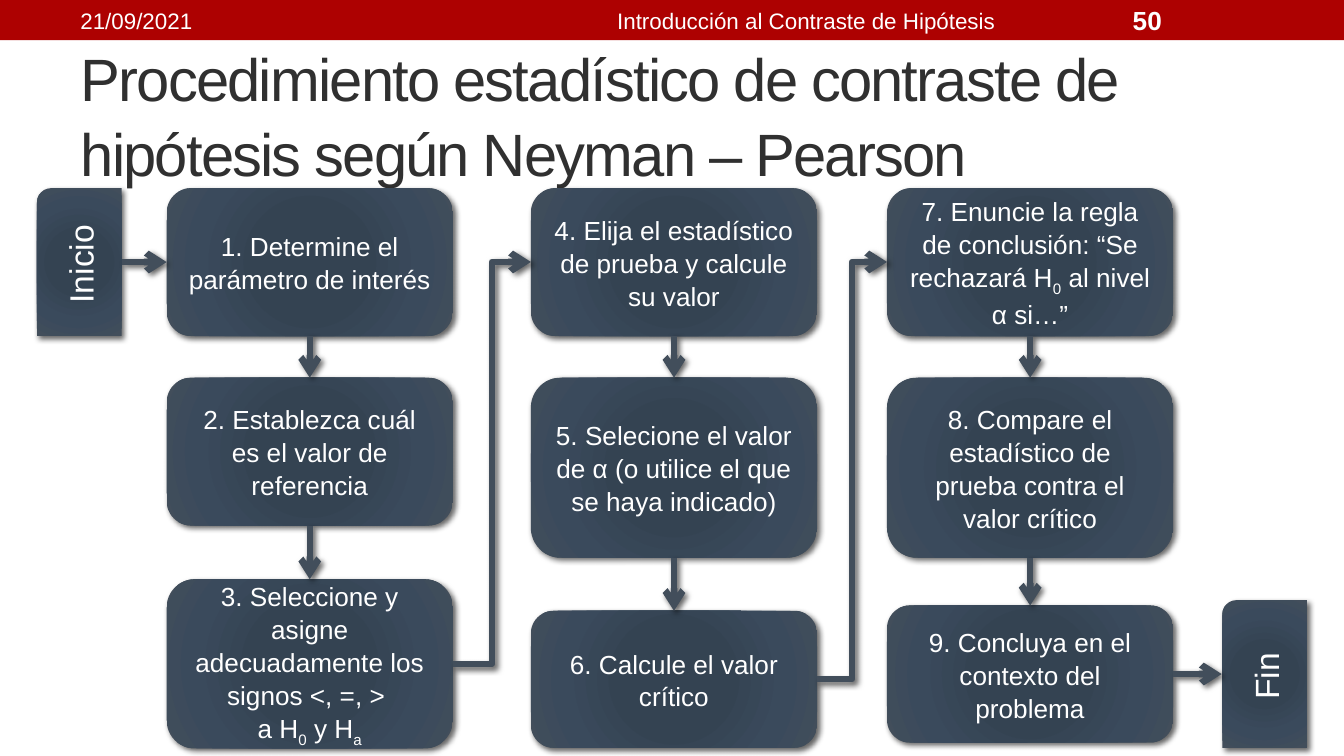
from dataclasses import dataclass
from itertools import pairwise
from typing import NamedTuple

from lxml.etree import SubElement
from pptx import Presentation
from pptx.dml.color import RGBColor
from pptx.enum.shapes import MSO_CONNECTOR, MSO_SHAPE
from pptx.enum.text import MSO_ANCHOR, MSO_AUTO_SIZE, PP_ALIGN
from pptx.oxml.ns import qn
from pptx.shapes.autoshape import Shape
from pptx.shapes.connector import Connector
from pptx.shapes.shapetree import SlideShapes
from pptx.util import Inches, Pt

WIDTH, HEIGHT = Inches(10), Inches(5.625)
TOP, LEFT, BOTTOM, RIGHT = range(4)


@dataclass(frozen=True)
class Theme:
    font: str = "Arial"
    bar: str = "AD0101"
    title: str = "303030"
    light: str = "FFFFFF"
    arrow: str = "424E5B"
    shadow: str = "000000"
    gradient: tuple = ((0, "334353"), (34, "344352"), (70, "3A4A5C"), (100, "424E5B"))
    title_size: float = 32
    terminal_size: float = 18
    step_size: float = 14
    header_size: float = 12
    arrow_width: float = 3.5
    line_spacing: float = 1.05


class Area(NamedTuple):
    """Left, top, width and height in percent of the slide."""
    left: float
    top: float
    width: float
    height: float

    def lengths(self) -> tuple:
        return (across(self.left), down(self.top), across(self.width), down(self.height))


class Piece(NamedTuple):
    text: str
    subscript: bool = False


class Step(NamedTuple):
    top: float
    height: float
    pieces: tuple


class Column(NamedTuple):
    left: float
    steps: tuple


class HeaderItem(NamedTuple):
    text: str
    left: float
    width: float
    align: PP_ALIGN = PP_ALIGN.LEFT
    size: float = Theme.header_size
    bold: bool = False


THEME = Theme()
STEP_WIDTH = 21.3
FIRST_ROW, SECOND_ROW = 24.89, 49.96
SHORT, TALL, LAST = 19.56, 23.82, 18.13
TERMINAL_WIDTH, TERMINAL_HEIGHT = 11, 11.2

HEADER = (
    HeaderItem("21/09/2021", 5, 31.7),
    HeaderItem("Introducción al Contraste de Hipótesis", 37.5, 45, PP_ALIGN.CENTER),
    HeaderItem("50", 83.3, 11.7, size=14, bold=True),
)

COLUMNS = (
    Column(12.4, (
        Step(FIRST_ROW, SHORT, (Piece("1. Determine el parámetro de interés"),)),
        Step(SECOND_ROW, SHORT, (Piece("2. Establezca cuál es el valor de referencia"),)),
        Step(76.62, 22.4, (
            Piece("3. Seleccione y asigne adecuadamente los signos <, =, > \na H"),
            Piece("0", True), Piece(" y H"), Piece("a", True))),
    )),
    Column(39.5, (
        Step(FIRST_ROW, SHORT, (Piece("4. Elija el estadístico de prueba y calcule su valor"),)),
        Step(SECOND_ROW, TALL, (
            Piece("5. Selecione el valor de α (o utilice el que se haya indicado)"),)),
        Step(80.8, LAST, (Piece("6. Calcule el valor crítico"),)),
    )),
    Column(66, (
        Step(FIRST_ROW, SHORT, (
            Piece("7. Enuncie la regla de conclusión: “Se rechazará H"),
            Piece("0", True), Piece(" al nivel α si…”"))),
        Step(SECOND_ROW, TALL, (
            Piece("8. Compare el estadístico de prueba contra el valor crítico"),)),
        Step(80.1, LAST, (Piece("9. Concluya en el contexto del problema"),)),
    )),
)


def across(percent: float) -> int:
    return round(WIDTH * percent / 100)


def down(percent: float) -> int:
    return round(HEIGHT * percent / 100)


def write_text(shape: Shape, *pieces: Piece, size: float, color: str = THEME.light,
               align: PP_ALIGN = PP_ALIGN.CENTER, bold: bool = False,
               tracking: float = 0) -> None:
    frame = shape.text_frame
    frame.word_wrap = True
    frame.auto_size = MSO_AUTO_SIZE.NONE
    frame.vertical_anchor = MSO_ANCHOR.MIDDLE
    paragraph = frame.paragraphs[0]
    paragraph.alignment = align
    paragraph.line_spacing = THEME.line_spacing
    for piece in pieces:
        for number, line in enumerate(piece.text.split("\n")):
            if number:
                paragraph.add_line_break()
            run = paragraph.add_run()
            run.text = line
            run.font.name = THEME.font
            run.font.size = Pt(size)
            run.font.bold = bold
            run.font.color.rgb = RGBColor.from_string(color)
            properties = run._r.get_or_add_rPr()
            if tracking:
                properties.set("spc", str(round(tracking * 100)))
            if piece.subscript:
                properties.set("baseline", "-25000")


def add_gradient(shape: Shape) -> None:
    gradient = SubElement(shape._element.spPr, qn("a:gradFill"), rotWithShape="1")
    stops = SubElement(gradient, qn("a:gsLst"))
    for position, color in THEME.gradient:
        stop = SubElement(stops, qn("a:gs"), pos=str(position * 1000))
        SubElement(stop, qn("a:srgbClr"), val=color)
    circle = SubElement(gradient, qn("a:path"), path="circle")
    SubElement(circle, qn("a:fillToRect"), {side: "100000" for side in "ltrb"})


def add_shadow(shape: Shape | Connector) -> None:
    effects = SubElement(shape._element.spPr, qn("a:effectLst"))
    shadow = SubElement(effects, qn("a:outerShdw"), blurRad=str(Pt(3)), dist=str(Pt(2)),
                        dir=str(45 * 60000), algn="ctr", rotWithShape="0")
    color = SubElement(shadow, qn("a:srgbClr"), val=THEME.shadow)
    SubElement(color, qn("a:alpha"), val="60000")


def add_box(shapes: SlideShapes, kind: MSO_SHAPE, area: Area, *pieces: Piece,
            size: float) -> Shape:
    box = shapes.add_shape(kind, *area.lengths())
    add_gradient(box)
    box.line.fill.background()
    add_shadow(box)
    write_text(box, *pieces, size=size)
    return box


def add_terminal(shapes: SlideShapes, text: str, center: float, middle: int) -> Shape:
    area = Area(center - TERMINAL_WIDTH / 2, 0, TERMINAL_WIDTH, TERMINAL_HEIGHT)
    terminal = add_box(shapes, MSO_SHAPE.ROUND_1_RECTANGLE, area, Piece(text),
                       size=THEME.terminal_size)
    terminal.top = middle - terminal.height // 2
    terminal.rotation = 270
    return terminal


def add_arrow(shapes: SlideShapes, kind: MSO_CONNECTOR, start: tuple = (0, 0),
              end: tuple = (0, 0), source: tuple | None = None,
              target: tuple | None = None) -> None:
    arrow = shapes.add_connector(kind, *start, *end)
    if source:
        arrow.begin_connect(*source)
    if target:
        arrow.end_connect(*target)
    arrow.line.color.rgb = RGBColor.from_string(THEME.arrow)
    arrow.line.width = Pt(THEME.arrow_width)
    SubElement(arrow.line._get_or_add_ln(), qn("a:tailEnd"), type="arrow")
    add_shadow(arrow)


def add_header(shapes: SlideShapes) -> None:
    bar = shapes.add_shape(MSO_SHAPE.RECTANGLE, *Area(0, 0, 100, 5.33).lengths())
    bar.fill.solid()
    bar.fill.fore_color.rgb = RGBColor.from_string(THEME.bar)
    bar.line.fill.background()
    bar.shadow.inherit = False
    for item in HEADER:
        label = shapes.add_textbox(*Area(item.left, 0.2, item.width, 4.8).lengths())
        write_text(label, Piece(item.text), size=item.size, align=item.align, bold=item.bold)


def add_flow(shapes: SlideShapes) -> None:
    columns = [[add_box(shapes, MSO_SHAPE.ROUNDED_RECTANGLE,
                        Area(column.left, step.top, STEP_WIDTH, step.height),
                        *step.pieces, size=THEME.step_size) for step in column.steps]
               for column in COLUMNS]
    first, last = columns[0][0], columns[-1][-1]
    first_middle = first.top + first.height // 2
    last_middle = last.top + last.height // 2
    add_terminal(shapes, "Inicio", 5.9, first_middle)
    add_terminal(shapes, "Fin", 94.1, last_middle)
    add_arrow(shapes, MSO_CONNECTOR.STRAIGHT, start=(across(9.1), first_middle),
              target=(first, LEFT))
    for column in columns:
        for upper, lower in pairwise(column):
            add_arrow(shapes, MSO_CONNECTOR.STRAIGHT, source=(upper, BOTTOM), target=(lower, TOP))
    add_arrow(shapes, MSO_CONNECTOR.STRAIGHT, end=(across(90.9), last_middle),
              source=(last, RIGHT))
    for current, following in pairwise(columns):
        start, end = current[-1], following[0]
        add_arrow(shapes, MSO_CONNECTOR.ELBOW,
                  start=(start.left + start.width, start.top + start.height // 2),
                  end=(end.left, end.top + end.height // 2),
                  source=(start, RIGHT), target=(end, LEFT))


def main() -> None:
    presentation = Presentation()
    presentation.slide_width, presentation.slide_height = WIDTH, HEIGHT
    slide = presentation.slides.add_slide(presentation.slide_layouts[5])
    title = slide.shapes.title
    title.left, title.top, title.width, title.height = Area(5, 7.8, 82.8, 14.4).lengths()
    write_text(title, Piece("Procedimiento estadístico de contraste de hipótesis "
                            "según Neyman – Pearson"),
               size=THEME.title_size, color=THEME.title, align=PP_ALIGN.LEFT, tracking=-1)
    add_header(slide.shapes)
    add_flow(slide.shapes)
    presentation.save("out.pptx")


if __name__ == "__main__":
    main()
